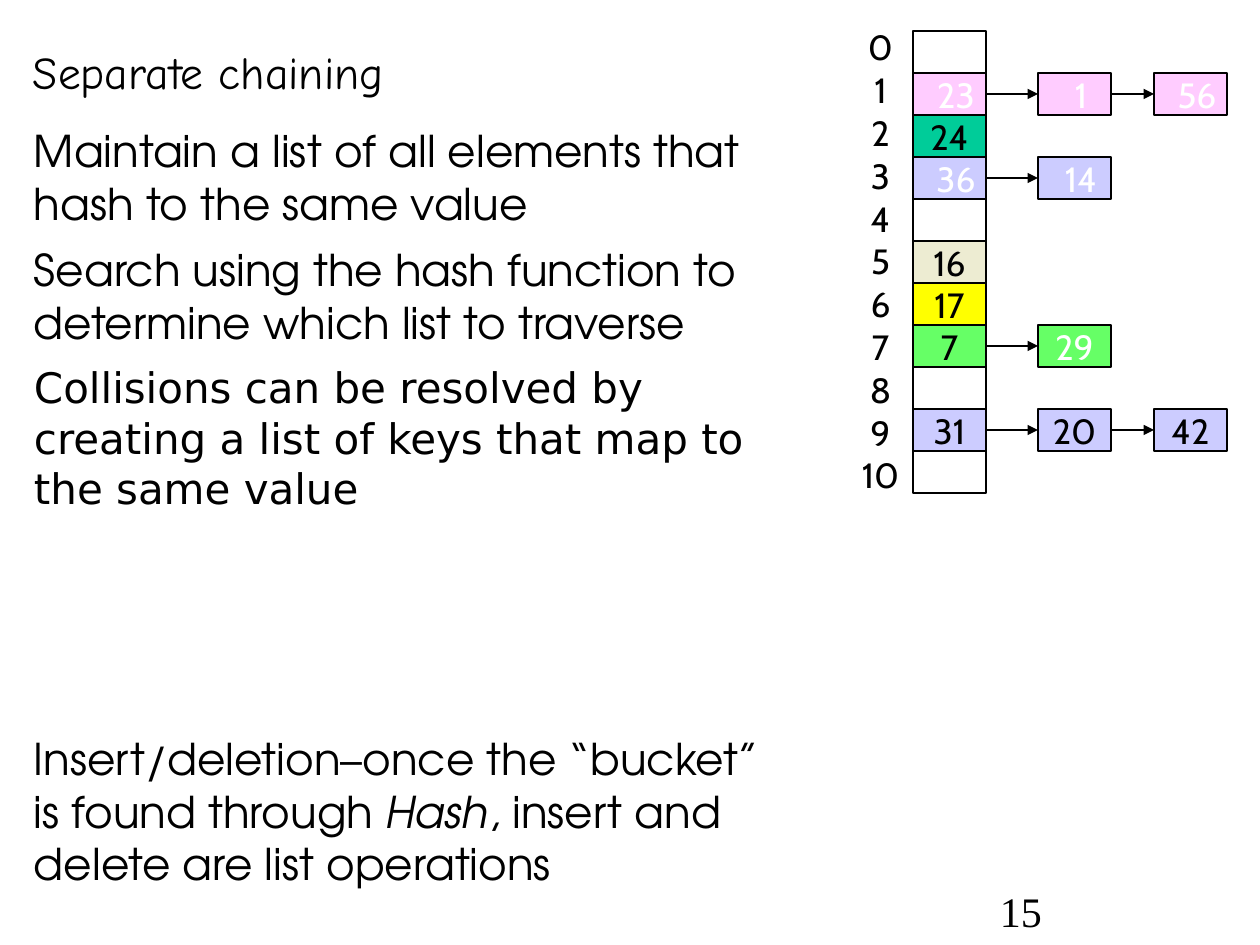
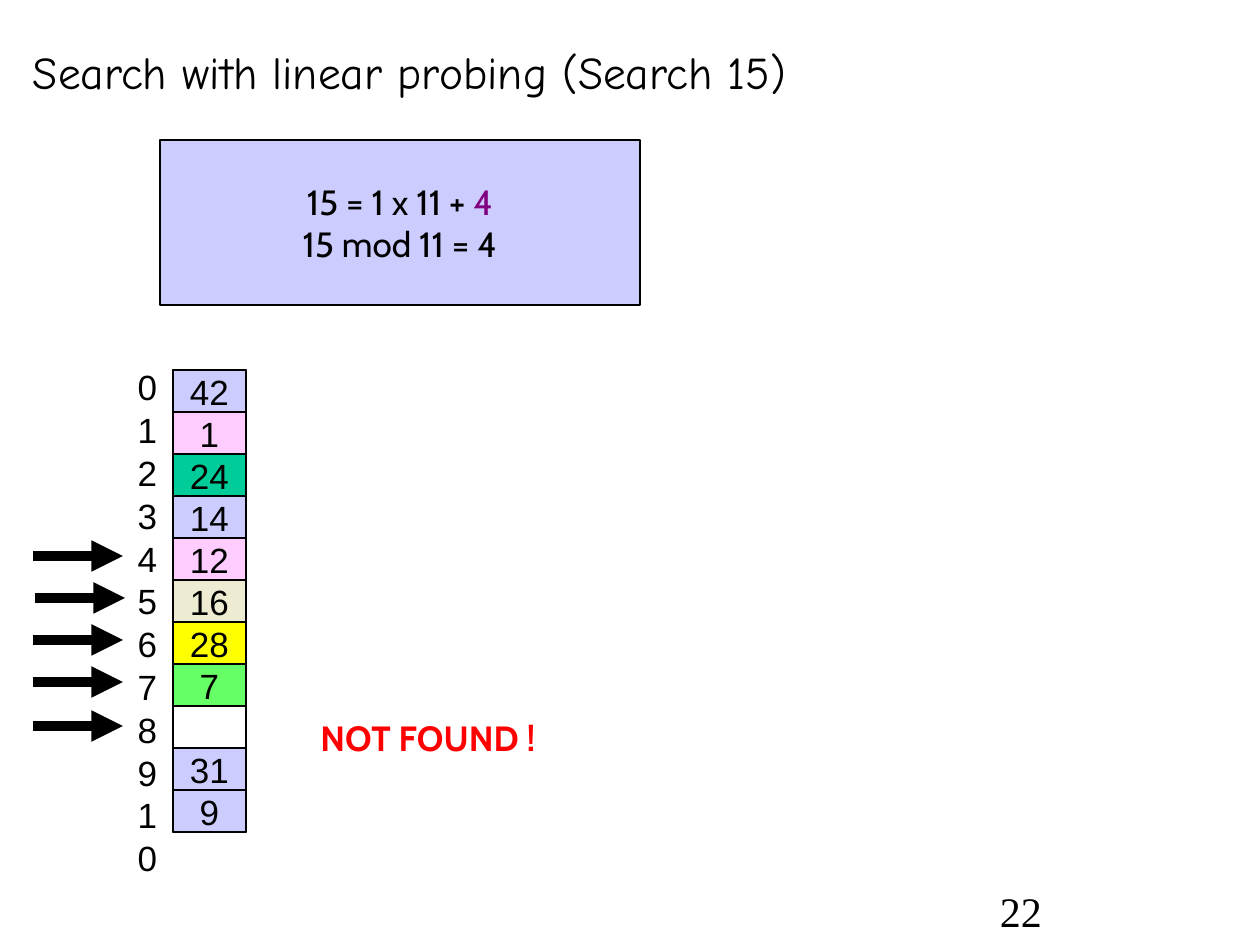
from lxml import etree
from pptx import Presentation
from pptx.dml.color import RGBColor
from pptx.enum.shapes import MSO_CONNECTOR, MSO_SHAPE
from pptx.enum.text import MSO_ANCHOR, PP_ALIGN
from pptx.oxml.ns import qn
from pptx.util import Pt

PX = 914400 / 126
STRAIGHT = MSO_CONNECTOR.STRAIGHT
RECTANGLE = MSO_SHAPE.RECTANGLE
TOP, MIDDLE, BOTTOM = MSO_ANCHOR.TOP, MSO_ANCHOR.MIDDLE, MSO_ANCHOR.BOTTOM
LEFT, CENTER, RIGHT = PP_ALIGN.LEFT, PP_ALIGN.CENTER, PP_ALIGN.RIGHT
LEFT_SIDE, RIGHT_SIDE = 1, 3

BLACK = RGBColor(0x00, 0x00, 0x00)
WHITE = RGBColor(0xFF, 0xFF, 0xFF)
RED = RGBColor(0xFF, 0x00, 0x00)
PURPLE = RGBColor(0x80, 0x00, 0x80)
LAVENDER = RGBColor(0xCC, 0xCC, 0xFF)
PINK = RGBColor(0xFF, 0xCC, 0xFF)
TEAL = RGBColor(0x00, 0xCC, 0x99)
SAND = RGBColor(0xED, 0xEC, 0xD2)
YELLOW = RGBColor(0xFF, 0xFF, 0x00)
GREEN = RGBColor(0x66, 0xFF, 0x66)

NUMBER = {"name": "Times New Roman", "size": Pt(24)}
TITLE = {"name": "Comic Neue", "size": Pt(26)}
BODY = {"name": "TeX Gyre Adventor", "size": Pt(25)}
FALLBACK = {"name": "DejaVu Sans", "size": Pt(24)}
LABEL = {"name": "Cabin", "size": Pt(20)}
ALERT = {**LABEL, "bold": True}
PLAIN = {"name": "Arial", "size": Pt(20)}

CELL_WIDTH, CELL_HEIGHT = 73, 42
SLOTS = 11


def px(length):
    return round(length * PX)


class SlideBuilder:
    def __init__(self):
        self.deck = Presentation()
        self.deck.slide_width = px(1260)
        self.deck.slide_height = px(945)
        self.page = None

    def start(self, title, number):
        self.page = self.deck.slides.add_slide(self.deck.slide_layouts[6])
        self.text((987, 903, 262, 39), [number], NUMBER, anchor=BOTTOM)
        self.text((20, 0, 1212, 105), [title], TITLE, anchor=BOTTOM)

    def fill_frame(self, frame, paras, font, color=BLACK, align=LEFT, anchor=TOP,
                   wrap=True, insets=(13, 6, 13, 6), spacing=None, gaps=()):
        left, top, right, bottom = map(px, insets)
        settings = {"word_wrap": wrap, "vertical_anchor": anchor, "margin_left": left,
                    "margin_top": top, "margin_right": right, "margin_bottom": bottom}
        for name, value in settings.items():
            setattr(frame, name, value)
        for index, spans in enumerate(paras):
            para = frame.add_paragraph() if index else frame.paragraphs[0]
            para.alignment = align
            para.line_spacing = spacing
            if index and gaps:
                para.space_before = Pt(gaps[index - 1])
            if isinstance(spans, str):
                spans = [(spans, {})]
            for words, changes in spans:
                span = para.add_run()
                span.text = words
                look = {**font, "color": color, **changes}
                span.font.color.rgb = look.pop("color")
                for name, value in look.items():
                    setattr(span.font, name, value)

    def text(self, place, paras, font, **options):
        box = self.page.shapes.add_textbox(*map(px, place))
        self.fill_frame(box.text_frame, paras, font, **options)

    def rectangle(self, place, fill=None, paras=(), font=LABEL, **options):
        box = self.page.shapes.add_shape(RECTANGLE, *map(px, place))
        box.shadow.inherit = False
        if fill is None:
            box.fill.background()
        else:
            box.fill.solid()
            box.fill.fore_color.rgb = fill
        box.line.color.rgb = BLACK
        box.line.width = Pt(0.75)
        if paras:
            self.fill_frame(box.text_frame, paras, font, align=CENTER, anchor=MIDDLE,
                            wrap=False, **options)
        return box

    def cell(self, left, top, value, fill, font, color=BLACK, indent=0):
        return self.rectangle((left, top, CELL_WIDTH, CELL_HEIGHT), fill, [value], font,
                              color=color, insets=(indent, 0, 0, 0))

    def slots(self, left, top):
        self.rectangle((left, top, CELL_WIDTH, SLOTS * CELL_HEIGHT))

    def indexes(self, place, font, align):
        self.text(place, [str(slot) for slot in range(SLOTS)], font,
                  align=align, spacing=1.02)

    def arrow(self, start, end, width):
        line = self.page.shapes.add_connector(STRAIGHT, *map(px, start + end))
        line.line.color.rgb = BLACK
        line.line.width = Pt(width)
        etree.SubElement(line.get_or_add_ln(), qn("a:tailEnd"), type="triangle")
        etree.SubElement(line._element.spPr, qn("a:effectLst"))
        return line

    def link(self, source, target):
        line = self.arrow((0, 0), (0, 0), 0.75)
        line.begin_connect(source, RIGHT_SIDE)
        line.end_connect(target, LEFT_SIDE)


def separate_chaining(builder):
    builder.start("Separate chaining", "15")
    builder.text((21, 118, 777, 785), [
        "Maintain a list of all elements that hash to the same value",
        "Search using the hash function to determine which list to traverse",
        [("Collisions can be resolved by creating a list of keys that map to the same value",
          FALLBACK)],
        [("Insert/deletion–once the “bucket” is found through ", {}),
         ("Hash", {"italic": True}),
         (", insert and delete are list operations", {})],
    ], BODY, gaps=(8, 8, 125))

    columns, table_top = (913, 1038, 1154), 31
    chains = {
        1: (PINK, [("23", WHITE, 13), ("1", WHITE, 13), ("56", WHITE, 13)]),
        2: (TEAL, [("24", BLACK, 0)]),
        3: (LAVENDER, [("36", WHITE, 13), ("14", WHITE, 13)]),
        5: (SAND, [("16", BLACK, 0)]),
        6: (YELLOW, [("17", BLACK, 0)]),
        7: (GREEN, [("7", BLACK, 0), ("29", WHITE, 0)]),
        9: (LAVENDER, [("31", BLACK, 0), ("20", BLACK, 0), ("42", BLACK, 0)]),
    }
    builder.slots(columns[0], table_top)
    for slot, (fill, keys) in chains.items():
        top = table_top + slot * CELL_HEIGHT
        cells = [builder.cell(left, top, key, fill, LABEL, color, indent)
                 for left, (key, color, indent) in zip(columns, keys)]
        for source, target in zip(cells, cells[1:]):
            builder.link(source, target)
    builder.indexes((847, 19, 67, 484), LABEL, CENTER)


def linear_probing(builder):
    builder.start("Search with linear probing (Search 15)", "22")
    builder.rectangle((160, 140, 480, 165), LAVENDER, [
        [("15 = 1 x 11 + ", {}), ("4", {"color": PURPLE})],
        "15 mod 11 = 4",
    ])

    table_left, table_top = 173, 370
    keys = [("42", LAVENDER), ("1", PINK), ("24", TEAL), ("14", LAVENDER), ("12", PINK),
            ("16", SAND), ("28", YELLOW), ("7", GREEN), None, ("31", LAVENDER),
            ("9", LAVENDER)]
    builder.indexes((108, 359, 62, 484), PLAIN, RIGHT)
    builder.slots(table_left, table_top)
    for slot, entry in enumerate(keys):
        if entry:
            builder.cell(table_left, table_top + slot * CELL_HEIGHT, *entry, PLAIN)

    for left, middle in ((33, 556), (35, 598), (33, 640), (33, 682), (33, 726)):
        builder.arrow((left, middle), (left + 90, middle), 6)
    builder.text((297, 699, 262, 77), ["NOT FOUND !"], ALERT, color=RED,
                 align=CENTER, anchor=MIDDLE, wrap=False)


def main():
    builder = SlideBuilder()
    separate_chaining(builder)
    linear_probing(builder)
    builder.deck.save("out.pptx")


if __name__ == "__main__":
    main()
